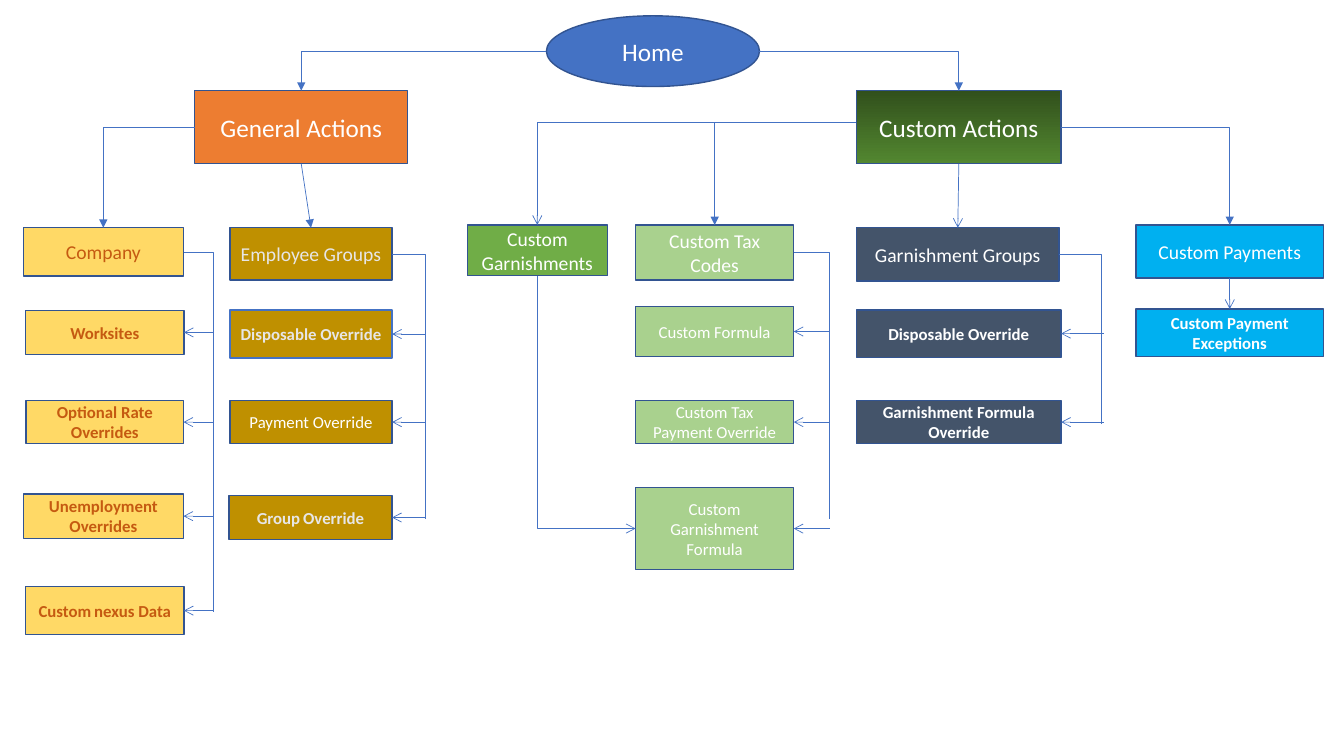
from lxml import etree
from pptx import Presentation
from pptx.dml.color import RGBColor
from pptx.enum.shapes import MSO_CONNECTOR, MSO_SHAPE
from pptx.enum.text import MSO_ANCHOR, PP_ALIGN
from pptx.oxml.ns import qn
from pptx.util import Pt

RECT, OVAL = MSO_SHAPE.RECTANGLE, MSO_SHAPE.OVAL
LINE, BENT = MSO_CONNECTOR.STRAIGHT, MSO_CONNECTOR.ELBOW
MIDDLE, CENTER = MSO_ANCHOR.MIDDLE, PP_ALIGN.CENTER
FONT = "Calibri"
COLORS = {
    "blue": "4472C4", "navy": "325491", "white": "FFFFFF", "pale": "E7E6E6",
    "orange": "ED7D31", "rust": "C55A11", "yellow": "FFD966", "gold": "BF9000",
    "dark": "31501C", "moss": "538730", "green": "70AD47", "mint": "A9D18E",
    "slate": "44546A", "cyan": "00B0F0",
}

# Box: x, y, width, height
HOME = ("Home", (390.3, 11.3, 152.2, 50.5))
GENERAL = ("General Actions", (139.1, 64.8, 152.2, 52.2))
CUSTOM = ("Custom Actions", (611.8, 64.8, 146.2, 52.2))

# Items: text, box, bold, size of the plain space after the first word (0: none).
# The first item heads its column. Trunk: x, bottom, x where branches start.
COLUMNS = {
    "company": {"fill": "yellow", "ink": "rust", "trunk": (152.3, 437, 152.3), "items": [
        ("Company", (16.6, 162.7, 114.5, 34.5), False, 0),
        ("Worksites", (18.4, 221.6, 113, 31.7), True, 0),
        ("Optional Rate Overrides", (18.7, 286, 112.4, 31), True, 0),
        ("Unemployment Overrides", (16.6, 352.8, 114.5, 31.7), True, 9),
        ("Custom nexus Data", (18.4, 419, 113, 34.3), True, 9)]},
    "employee": {"fill": "gold", "ink": "pale", "trunk": (303.8, 370.5, 303.8), "items": [
        ("Employee Groups", (164.2, 162.7, 115.9, 37.4), False, 0),
        ("Disposable Override", (164.2, 221.4, 115.9, 34.4), True, 11),
        ("Payment Override", (164.2, 286, 115.9, 31), False, 0),
        ("Group Override", (163.5, 353.8, 116.6, 31.7), True, 9)]},
    "garnish": {"fill": "green", "ink": "white", "items": [
        ("Custom Garnishments", (333.8, 160.7, 100.1, 36.3), False, 0)]},
    "tax": {"fill": "mint", "ink": "white", "trunk": (592.6, 370.5, 592.6), "items": [
        ("Custom Tax Codes", (454, 160.7, 113, 39.2), False, 0),
        ("Custom Formula", (454, 219, 113, 35.6), False, 0),
        ("Custom Tax Payment Override", (454, 286, 113, 31), False, 0),
        ("Custom Garnishment Formula", (454, 348.1, 113, 58.9), False, 0)]},
    "groups": {"fill": "slate", "ink": "white", "trunk": (786.8, 303, 788.4), "items": [
        ("Garnishment Groups", (611.8, 162.7, 144.7, 37.9), False, 0),
        ("Disposable Override", (611.8, 221.4, 146.2, 33.8), True, 0),
        ("Garnishment Formula Override", (611.8, 286, 146.2, 31), True, 0)]},
    "payments": {"fill": "cyan", "ink": "white", "items": [
        ("Custom Payments", (811.4, 160.7, 134, 38), False, 0),
        ("Custom Payment Exceptions", (811.4, 220.7, 134, 34), True, 0)]},
}
BLUE_EDGE = ("employee", 1)
WHITE_INK = ("employee", 2)


def color(name):
    """Return the named colour."""
    return RGBColor.from_string(COLORS[name])


def spot(box, side):
    """Return the middle of a side of a box."""
    x, y, w, h = box
    return {"top": (x + w / 2, y), "left": (x, y + h / 2),
            "low": (x + w / 2, y + h), "right": (x + w, y + h / 2)}[side]


def draw_box(text, box, fill, ink, size, bold=False, gap=0, edge="navy", kind=RECT):
    """Draw a filled box with centred text."""
    shape = slide.shapes.add_shape(kind, *map(Pt, box))
    shape.shadow.inherit = False
    if isinstance(fill, tuple):
        shape.fill.gradient()
        shape.fill.gradient_angle = 270
        for stop, name, pos in zip(shape.fill.gradient_stops, fill, (0, 1)):
            stop.color.rgb, stop.position = color(name), pos
    else:
        shape.fill.solid()
        shape.fill.fore_color.rgb = color(fill)
    shape.line.color.rgb = color(edge)
    shape.line.width = Pt(1)
    frame = shape.text_frame
    frame.word_wrap = True
    frame.vertical_anchor = MIDDLE
    para = frame.paragraphs[0]
    para.alignment = CENTER
    runs = [(text, size, bold)]
    if gap:
        first, rest = text.split(" ", 1)
        runs = [(first, size, bold), (" ", gap, False), (rest, size, bold)]
    for words, pts, heavy in runs:
        run = para.add_run()
        run.text = words
        run.font.name, run.font.size, run.font.bold = FONT, Pt(pts), heavy
        run.font.color.rgb = color(ink)


def link(start, end, tip=None, bent=False, place="tailEnd"):
    """Draw a line; a bent one runs level first, then upright."""
    line = slide.shapes.add_connector(BENT if bent else LINE, *map(Pt, start + end))
    line.line.color.rgb = color("blue")
    line.line.width = Pt(0.5)
    props = line._element.spPr
    if bent:
        props.find(qn("a:prstGeom")).set("prst", "bentConnector2")
    if tip:
        etree.SubElement(props.find(qn("a:ln")), qn("a:" + place), type=tip)
    etree.SubElement(props, qn("a:effectLst"))


deck = Presentation()
deck.slide_width, deck.slide_height = Pt(960), Pt(540)
slide = deck.slides.add_slide(deck.slide_layouts[6])

draw_box(*HOME, "blue", "white", 18, kind=OVAL)
draw_box(*GENERAL, "orange", "white", 18)
draw_box(*CUSTOM, ("dark", "moss"), "white", 18)

for key, col in COLUMNS.items():
    for i, (text, box, bold, gap) in enumerate(col["items"]):
        draw_box(text, box, col["fill"],
                 "white" if (key, i) == WHITE_INK else col["ink"],
                 12 if i else 14, bold, gap,
                 "blue" if (key, i) == BLUE_EDGE else "navy")
    if "trunk" in col:
        x, low, stub = col["trunk"]
        link(spot(col["items"][0][1], "right"), (x, low), bent=True)
        for item in col["items"][1:]:
            end = spot(item[1], "right")
            link((stub, end[1]), end, "arrow")

heads = {key: col["items"][0][1] for key, col in COLUMNS.items()}
tops = {key: spot(box, "top") for key, box in heads.items()}
home, general, custom = HOME[1], GENERAL[1], CUSTOM[1]
bus = 87.4  # level shared by the two links left of Custom Actions

link(spot(home, "left"), spot(general, "top"), "triangle", True)
link(spot(home, "right"), spot(custom, "top"), "triangle", True)
link(spot(general, "left"), tops["company"], "triangle", True)
link(spot(general, "low"), tops["employee"], "triangle")
link((custom[0], bus), tops["garnish"], "arrow", True)
link((tops["tax"][0], bus), tops["tax"], "triangle")
link(spot(custom, "low"), tops["groups"], "arrow")
link(spot(custom, "right"), tops["payments"], "triangle", True)
link(spot(heads["payments"], "low"),
     spot(COLUMNS["payments"]["items"][1][1], "top"), "arrow")
link(spot(COLUMNS["tax"]["items"][-1][1], "left"),
     spot(heads["garnish"], "low"), "arrow", True, "headEnd")

deck.save("out.pptx")
